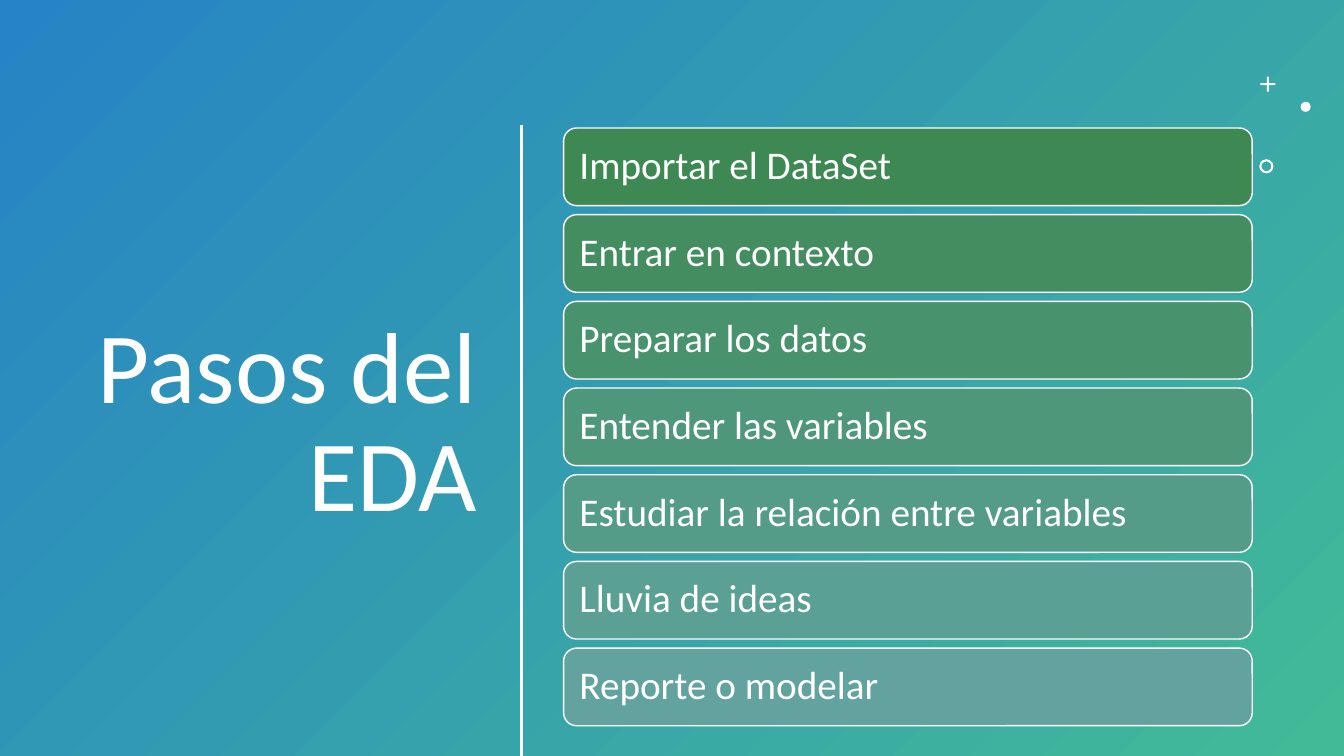
import pptx
import pptx.util
import pptx.dml.color
import pptx.enum.shapes
import pptx.enum.text
import lxml.etree
from pptx.oxml.ns import qn

TITLE = "Pasos del EDA"
STEPS = [
    ("Importar el DataSet", "3E8853"),
    ("Entrar en contexto", "438D60"),
    ("Preparar los datos", "49926E"),
    ("Entender las variables", "4E977B"),
    ("Estudiar la relación entre variables", "549C88"),
    ("Lluvia de ideas", "5AA094"),
    ("Reporte o modelar", "62A39F"),
]
COLORS = {"white": "FFFFFF", "blue": "2683C6", "green": "42BA97"}
FONT = "Calibri"

SHAPE = pptx.enum.shapes.MSO_SHAPE
ALIGN = pptx.enum.text.PP_ALIGN
Inches = pptx.util.Inches
WIDTH, HEIGHT = 13.33, 7.5

# Ornaments: preset, left, top, size, adjustment
ORNAMENTS = [
    (SHAPE.CROSS, 12.5, 0.76, 0.15, 0.43),
    (SHAPE.OVAL, 12.9, 1.01, 0.1, None),
    (SHAPE.DONUT, 12.49, 1.58, 0.14, 0.15),
]
STEP_LEFT, STEP_TOP, STEP_WIDTH, STEP_HEIGHT = 5.59, 1.27, 6.83, 0.77
STEP_PITCH = 0.86
DIVIDER_X, DIVIDER_TOP = 5.17, 1.24


def rgb(value):
    return pptx.dml.color.RGBColor.from_string(value)


def add_box(page, preset, left, top, width, height, fill=None, line=None):
    box = page.shapes.add_shape(
        preset, Inches(left), Inches(top), Inches(width), Inches(height))
    box.shadow.inherit = False
    if fill:
        box.fill.solid()
        box.fill.fore_color.rgb = rgb(fill)
    if line:
        box.line.color.rgb = rgb(line)
        box.line.width = pptx.util.Pt(1)
    else:
        box.line.fill.background()
    return box


def write(box, text, size, align, inset):
    frame = box.text_frame
    frame.word_wrap = True
    frame.auto_size = pptx.enum.text.MSO_AUTO_SIZE.NONE
    frame.vertical_anchor = pptx.enum.text.MSO_ANCHOR.MIDDLE
    frame.margin_left = frame.margin_right = Inches(inset)
    frame.margin_top = frame.margin_bottom = Inches(0.05)
    para = frame.paragraphs[0]
    para.alignment = align
    para.line_spacing = 0.9
    span = para.add_run()
    span.text = text
    span.font.name = FONT
    span.font.size = pptx.util.Pt(size)
    span.font.color.rgb = rgb(COLORS["white"])


def add_backdrop(page):
    """Cover the page with a diagonal gradient, behind everything else."""
    backdrop = add_box(page, SHAPE.RECTANGLE, 0, 0, WIDTH, HEIGHT)
    backdrop.fill.gradient()
    backdrop.fill.gradient_angle = 315
    for stop, name in zip(backdrop.fill.gradient_stops, ("blue", "green")):
        stop.color.rgb = rgb(COLORS[name])
    backdrop.element.getparent().insert(2, backdrop.element)


def add_divider(page):
    divider = page.shapes.add_connector(
        pptx.enum.shapes.MSO_CONNECTOR.STRAIGHT,
        Inches(DIVIDER_X), Inches(DIVIDER_TOP), Inches(DIVIDER_X), Inches(HEIGHT))
    divider.line.color.rgb = rgb(COLORS["white"])
    divider.line.width = pptx.util.Pt(2)
    lxml.etree.SubElement(divider.element.spPr, qn("a:effectLst"))


def main():
    deck = pptx.Presentation()
    deck.slide_width, deck.slide_height = Inches(WIDTH), Inches(HEIGHT)
    page = deck.slides.add_slide(deck.slide_layouts.get_by_name("Title Only"))
    add_backdrop(page)

    title = page.shapes.title
    title.left, title.top = Inches(0.52), Inches(1.16)
    title.width, title.height = Inches(4.31), Inches(6.11)
    write(title, TITLE, size=72, align=ALIGN.RIGHT, inset=0.1)

    add_divider(page)
    for preset, left, top, size, adjustment in ORNAMENTS:
        ornament = add_box(page, preset, left, top, size, size, fill=COLORS["white"])
        if adjustment is not None:
            ornament.adjustments[0] = adjustment

    for row, (text, color) in enumerate(STEPS):
        step = add_box(page, SHAPE.ROUNDED_RECTANGLE,
                       STEP_LEFT, STEP_TOP + row * STEP_PITCH,
                       STEP_WIDTH, STEP_HEIGHT, fill=color, line=COLORS["white"])
        write(step, text, size=28, align=ALIGN.LEFT, inset=0.12)

    deck.save("out.pptx")


if __name__ == "__main__":
    main()
